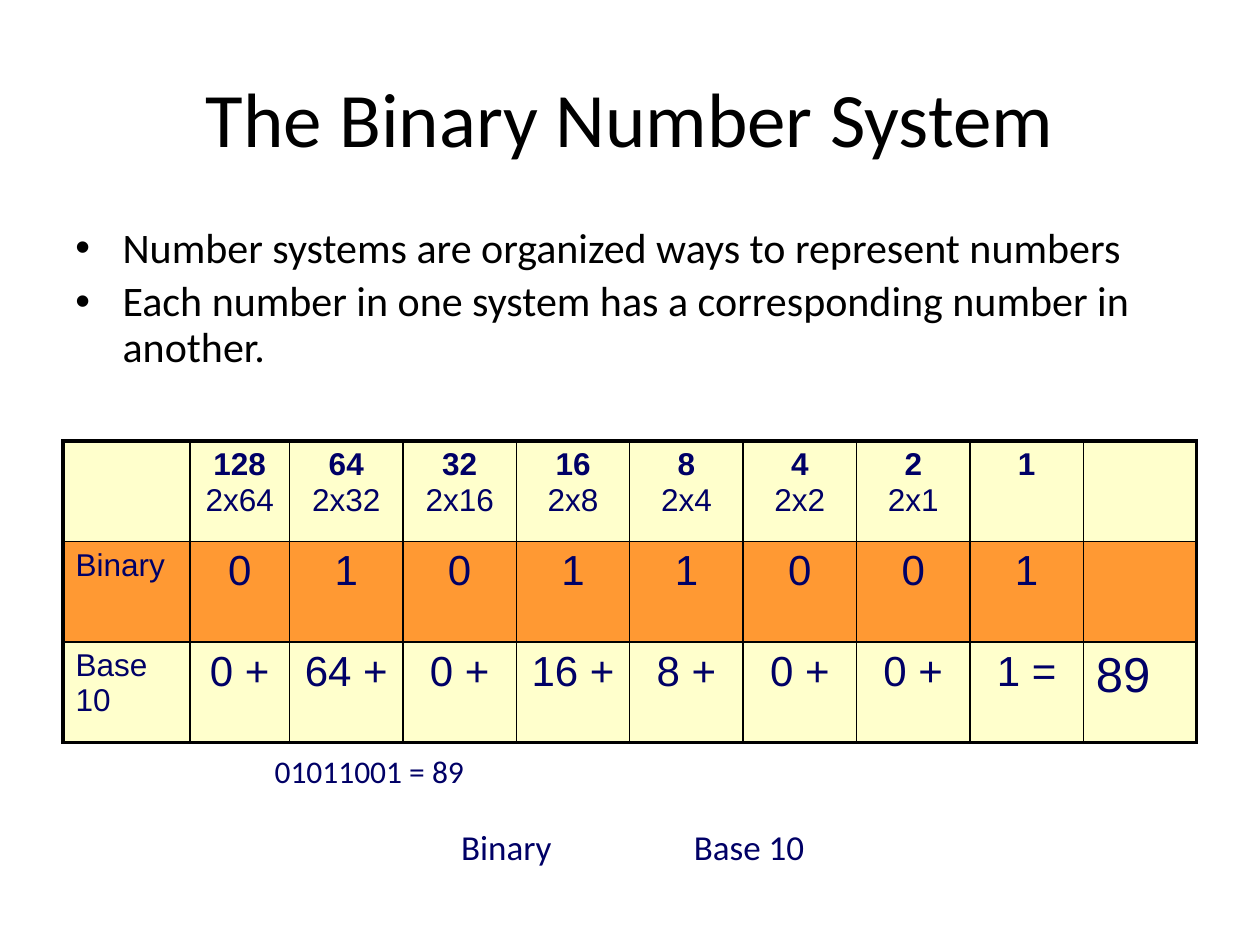
"""Build a slide that explains the binary number system with a place-value table."""
import pptx
import pptx.util
import pptx.dml.color
import pptx.enum.text
import lxml.etree

Pt = pptx.util.Pt
ALIGN = pptx.enum.text.PP_ALIGN
COLORS = {"black": "000000", "navy": "000066", "cream": "FFFFCC", "orange": "FF9933"}
NS = "{http://schemas.openxmlformats.org/drawingml/2006/main}"


def style(para, size, color, face="Calibri", bold=False):
    for run in para.runs:
        run.font.name = face
        run.font.size = Pt(size)
        run.font.bold = bold
        run.font.color.rgb = pptx.dml.color.RGBColor.from_string(COLORS[color])


def add_box(left, top, width, height, text):
    box = slide.shapes.add_textbox(Pt(left), Pt(top), Pt(width), Pt(height))
    box.text_frame.word_wrap = True
    box.text_frame.text = text
    return box.text_frame


deck = pptx.Presentation()
deck.slide_width, deck.slide_height = Pt(720), Pt(540)
slide = deck.slides.add_slide(deck.slide_layouts[5])

title = slide.shapes.title
title.left, title.top, title.width, title.height = Pt(36), Pt(21.6), Pt(648), Pt(90)
title.text_frame.text = "The Binary Number System"
title.text_frame.vertical_anchor = pptx.enum.text.MSO_ANCHOR.MIDDLE
title.text_frame.paragraphs[0].alignment = ALIGN.CENTER
style(title.text_frame.paragraphs[0], 44, "black")

points = add_box(36, 126, 648, 126,
                 "Number systems are organized ways to represent numbers\n"
                 "Each number in one system has a corresponding number in another.")
for i, para in enumerate(points.paragraphs):
    props = para._p.get_or_add_pPr()
    props.set("marL", str(Pt(27)))
    props.set("indent", str(-Pt(27)))
    lxml.etree.SubElement(props, NS + "buFont", typeface="Arial")
    lxml.etree.SubElement(props, NS + "buChar", char="•")
    para.line_spacing = 0.9
    para.space_before = Pt(4.8 if i else 0)
    style(para, 24, "black")

sample = add_box(149.8, 426.2, 384, 60, "01011001 = 89")
style(sample.paragraphs[0], 18, "navy")

labels = add_box(234, 468, 432, 60, "Binary\tBase 10")
labels.margin_left = Pt(29.5)
props = labels.paragraphs[0]._p.get_or_add_pPr()
tabs = lxml.etree.SubElement(props, NS + "tabLst")
lxml.etree.SubElement(tabs, NS + "tab", pos=str(Pt(133)), algn="l")
style(labels.paragraphs[0], 20, "navy")

bits = "01011001"
powers = [2 ** n for n in range(7, -1, -1)]
heads = [f"{n}\n2x{n // 2}" if n > 1 else "1" for n in powers]
terms = [f"{n * int(bit)} {'+' if n > 1 else '='}" for n, bit in zip(powers, bits)]
rows = [["", *heads, ""], ["Binary", *bits, ""], ["Base 10", *terms, "89"]]
fills = ["cream", "orange", "cream"]
widths = [72.5, 57] + [64.8] * 8

frame = slide.shapes.add_table(3, 10, Pt(36), Pt(252), Pt(sum(widths)), Pt(172.2))
table = frame.table
table.first_row = table.horz_banding = False
for col, width in zip(table.columns, widths):
    col.width = Pt(width)
for r, texts in enumerate(rows):
    table.rows[r].height = Pt(57.4)
    for c, text in enumerate(texts):
        cell = table.cell(r, c)
        cell.text = text
        cell.fill.solid()
        cell.fill.fore_color.rgb = pptx.dml.color.RGBColor.from_string(COLORS[fills[r]])
        for i, para in enumerate(cell.text_frame.paragraphs):
            para.alignment = ALIGN.CENTER if 0 < c < 9 else ALIGN.LEFT
            size = 18 if r == 0 or c == 0 else 28 if c == 9 else 24
            style(para, size, "navy", "Arial", r == 0 and i == 0)
        edges = {"lnL": c == 0, "lnR": c == 9, "lnT": r == 0, "lnB": r == 2}
        for i, (edge, outer) in enumerate(edges.items()):
            line = lxml.etree.Element(NS + edge, w=str(Pt(2.25 if outer else 1)))
            solid = lxml.etree.SubElement(line, NS + "solidFill")
            lxml.etree.SubElement(solid, NS + "srgbClr", val=COLORS["black"])
            cell._tc.get_or_add_tcPr().insert(i, line)

deck.save("out.pptx")
